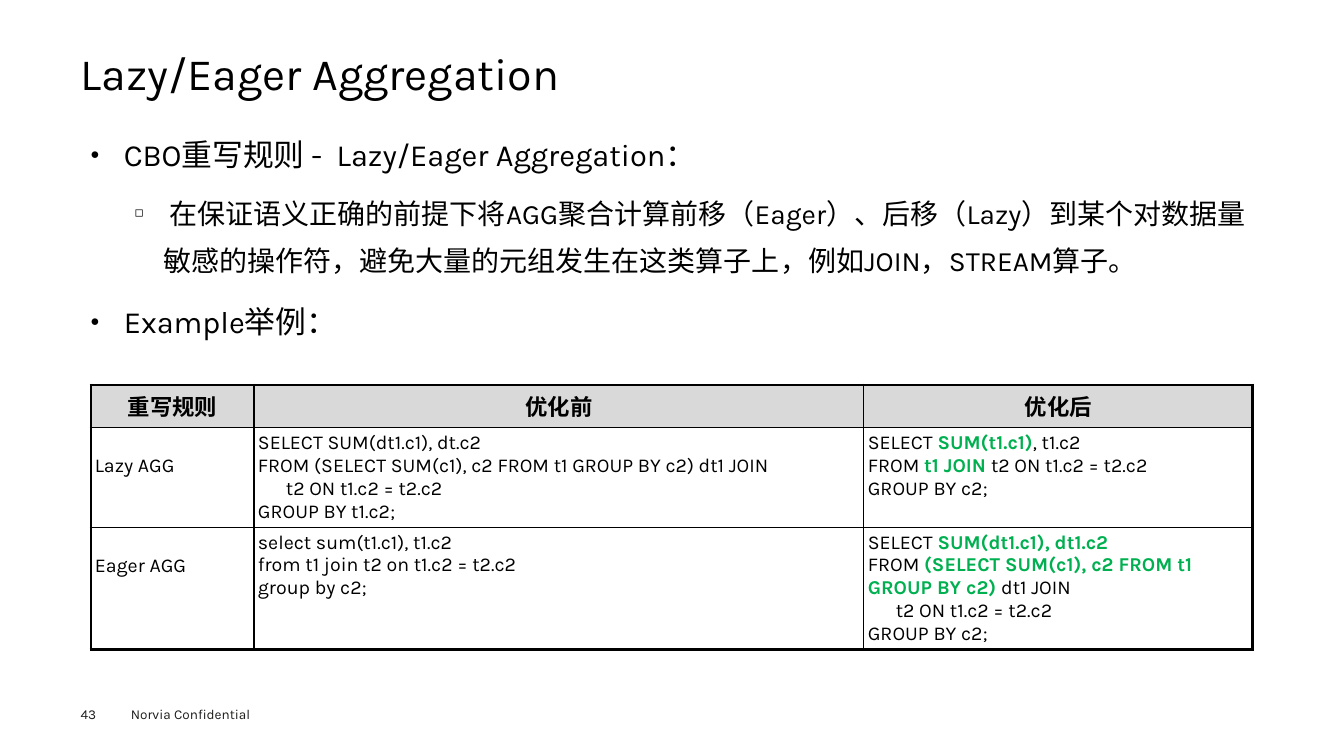
from lxml import etree
from pptx import Presentation
from pptx.dml.color import RGBColor
from pptx.enum.text import MSO_ANCHOR, MSO_AUTO_SIZE, PP_ALIGN
from pptx.oxml.ns import qn
from pptx.util import Cm, Pt

LEFT, CENTER, JUSTIFY = PP_ALIGN.LEFT, PP_ALIGN.CENTER, PP_ALIGN.JUSTIFY
TOP, MIDDLE = MSO_ANCHOR.TOP, MSO_ANCHOR.MIDDLE
NO_FIT = MSO_AUTO_SIZE.NONE

# Text between bars is highlighted
HEADERS = ["重写规则", "优化前", "优化后"]
RULES = [
    ("Lazy AGG",
     ["SELECT SUM(dt1.c1), dt.c2",
      "FROM (SELECT SUM(c1), c2 FROM t1 GROUP BY c2) dt1 JOIN",
      "      t2 ON t1.c2 = t2.c2",
      "GROUP BY t1.c2;"],
     ["SELECT |SUM(t1.c1)|, t1.c2",
      "FROM |t1 JOIN |t2 ON t1.c2 = t2.c2",
      "GROUP BY c2;"]),
    ("Eager AGG",
     ["select sum(t1.c1), t1.c2",
      "from t1 join t2 on t1.c2 = t2.c2",
      "group by c2;"],
     ["SELECT |SUM(dt1.c1), dt1.c2|",
      "FROM |(SELECT SUM(c1), c2 FROM t1 GROUP BY c2)| dt1 JOIN",
      "      t2 ON t1.c2 = t2.c2",
      "GROUP BY c2;"]),
]
# Level, size, space before, text
POINTS = [
    (0, 22, 0, "CBO重写规则 -  Lazy/Eager Aggregation："),
    (1, 20, 7.2, " 在保证语义正确的前提下将AGG聚合计算前移（Eager）、后移（Lazy）到某个对数据量敏感的"
                 "操作符，避免大量的元组发生在这类算子上，例如JOIN，STREAM算子。"),
    (0, 22, 7.9, "Example举例："),
]
# Bullet, left indent, hanging indent, alignment for each level
LEVELS = [("●", 0.84, 0.84, JUSTIFY), ("◻", 1.83, 0.71, LEFT)]


def rgb(value):
    return RGBColor.from_string(value)


class Deck:
    font = "Karla"
    black, grey, white, green, ink = "000000", "D9D9D9", "FFFFFF", "00B050", "1D1D1B"
    thin, thick = 1, 2.25

    def __init__(self, prs):
        self.s = prs.slides.add_slide(prs.slide_layouts[1])

    def run(self, p, text, size, color=black, bold=False):
        r = p.add_run()
        r.text = text
        r.font.name, r.font.size, r.font.bold = self.font, Pt(size), bold
        r.font.color.rgb = rgb(color)

    def place(self, sp, box, inset=(0, 0), anchor=TOP):
        sp.left, sp.top, sp.width, sp.height = (Cm(v) for v in box)
        tf = sp.text_frame
        tf.word_wrap, tf.auto_size, tf.vertical_anchor = True, NO_FIT, anchor
        tf.margin_left = tf.margin_right = Cm(inset[0])
        tf.margin_top = tf.margin_bottom = Cm(inset[1])
        return tf

    def title(self, text, box):
        p = self.place(self.s.shapes.title, box, anchor=MIDDLE).paragraphs[0]
        p.alignment, p.line_spacing = LEFT, 0.9
        self.run(p, text, 32)

    def bullets(self, points, box):
        tf = self.place(self.s.placeholders[1], box, (0.25, 0.13))
        for i, (level, size, before, text) in enumerate(points):
            p = tf.add_paragraph() if i else tf.paragraphs[0]
            char, left, hang, align = LEVELS[level]
            pPr = p._p.get_or_add_pPr()
            pPr.set("marL", str(Cm(left)))
            pPr.set("indent", str(-Cm(hang)))
            etree.SubElement(pPr, qn("a:buSzPct"), val="50000")
            etree.SubElement(pPr, qn("a:buChar"), char=char)
            p.level, p.alignment = level, align
            p.line_spacing, p.space_before = 1.4, Pt(before)
            self.run(p, text, size)

    def label(self, text, box, inset=(0, 0)):
        sp = self.s.shapes.add_textbox(0, 0, 0, 0)
        self.run(self.place(sp, box, inset).paragraphs[0], text, 9.7, self.ink)

    def borders(self, cell, outer):
        tcPr = cell._tc.get_or_add_tcPr()
        for side in "LRTB":
            width = self.thick if side in outer else self.thin
            ln = etree.SubElement(tcPr, qn("a:ln" + side), w=str(Pt(width)))
            fill = etree.SubElement(ln, qn("a:solidFill"))
            etree.SubElement(fill, qn("a:srgbClr"), val=self.black)

    def cell(self, cell, lines, outer, header=False, top=0.1):
        self.borders(cell, outer)
        cell.fill.solid()
        cell.fill.fore_color.rgb = rgb(self.grey if header else self.white)
        cell.margin_left = cell.margin_right = Cm(0.25 if header else 0.1)
        cell.margin_top = Cm(top)
        cell.margin_bottom = Cm(0.13 if header else 0.1)
        tf = cell.text_frame
        for i, line in enumerate(lines):
            p = tf.add_paragraph() if i else tf.paragraphs[0]
            p.alignment = CENTER if header else LEFT
            for j, part in enumerate(line.split("|")):
                marked = j % 2 == 1
                if part:
                    self.run(p, part, 16 if header else 14,
                             self.green if marked else self.black, header or marked)

    def table(self, headers, rules, box, widths, heights):
        rows = [[[h] for h in headers]] + [[[name], old, new] for name, old, new in rules]
        table = self.s.shapes.add_table(len(rows), len(headers), *(Cm(v) for v in box)).table
        table.first_row = table.horz_banding = False
        for col, width in zip(table.columns, widths):
            col.width = Cm(width)
        for row, height in zip(table.rows, heights):
            row.height = Cm(height)
        for r, row in enumerate(rows):
            for c, lines in enumerate(row):
                sides = [("T", r == 0), ("B", r == len(rows) - 1),
                         ("L", c == 0), ("R", c == len(row) - 1)]
                outer = [side for side, edge in sides if edge]
                # Rule names sit level with the second code line
                top = 0.13 if r == 0 else 0.68 if c == 0 else 0.1
                self.cell(table.cell(r, c), lines, outer, r == 0, top)


def main():
    prs = Presentation()
    prs.slide_width, prs.slide_height = Cm(33.87), Cm(19.05)
    deck = Deck(prs)

    # Title and list
    deck.title("Lazy/Eager Aggregation", (2.03, 1.24, 29.8, 1.35))
    deck.bullets(POINTS, (2.03, 2.92, 29.8, 13.56))

    # Comparison of the queries
    deck.table(HEADERS, RULES, (2.29, 9.7, 29.28, 6.65),
               (4.11, 15.37, 9.8), (1.07, 2.51, 3.07))

    # Footer
    deck.label("43", (2.03, 17.78, 1.4, 0.41))
    deck.label("Norvia Confidential", (3.05, 17.65, 4.06, 0.69), (0.25, 0.13))

    prs.save("out.pptx")


if __name__ == "__main__":
    main()
